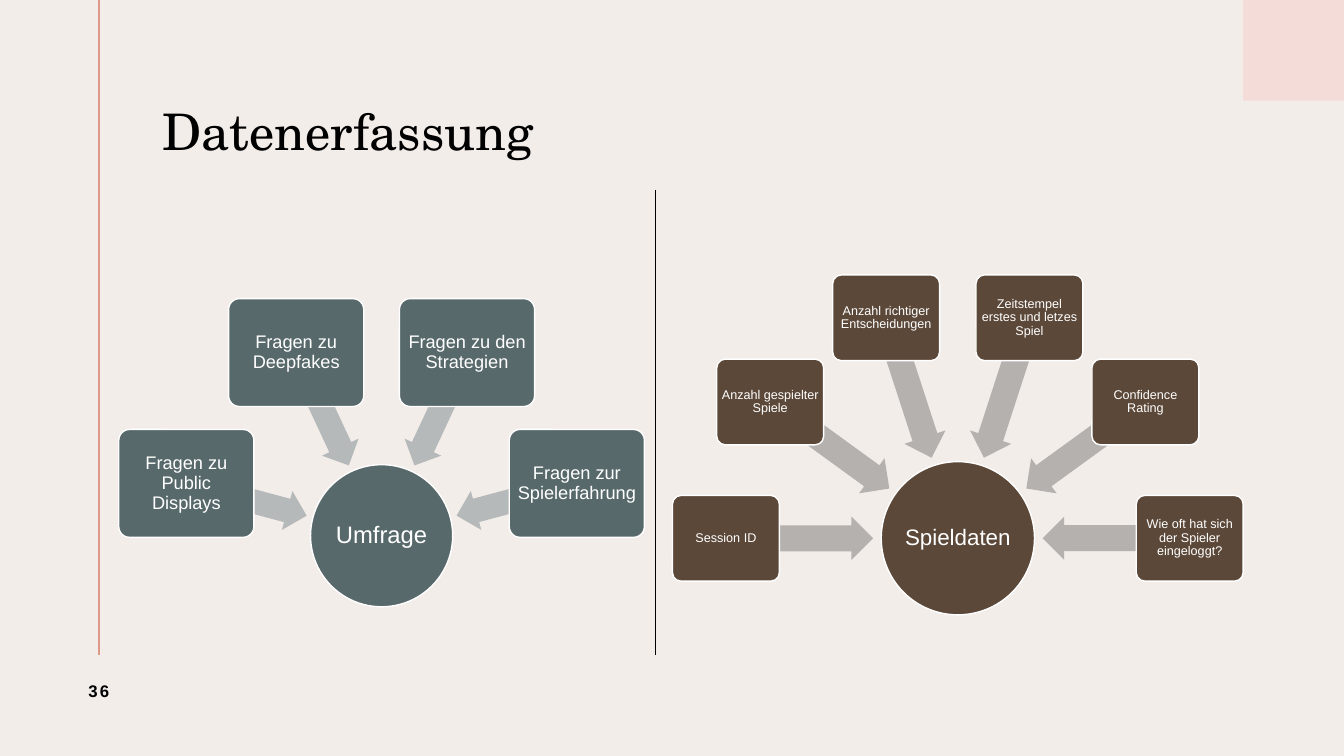
from math import cos, radians, sin

from lxml import etree
from pptx import Presentation
from pptx.dml.color import RGBColor
from pptx.enum.shapes import MSO_CONNECTOR, MSO_SHAPE
from pptx.enum.text import MSO_ANCHOR, PP_ALIGN
from pptx.oxml.ns import qn
from pptx.util import Inches, Pt

RECTANGLE = MSO_SHAPE.RECTANGLE
OVAL = MSO_SHAPE.OVAL
ROUNDED = MSO_SHAPE.ROUNDED_RECTANGLE
LEFT_ARROW = MSO_SHAPE.LEFT_ARROW
STRAIGHT = MSO_CONNECTOR.STRAIGHT
MIDDLE = MSO_ANCHOR.MIDDLE
LEFT = PP_ALIGN.LEFT
CENTER = PP_ALIGN.CENTER

CELL = Inches(0.5)
COLUMNS, ROWS = 26.66, 15
SANS = "Arial"
SERIF = "TeX Gyre Schola"
COLORS = {
    "background": "F3EDEA",
    "corner": "F4DDD8",
    "rail": "DF998B",
    "black": "000000",
    "white": "FFFFFF",
    "slate": "58696B",
    "slate_arrow": "B5B9BA",
    "brown": "5B4839",
    "brown_arrow": "B5B1AF",
}

SURVEY = {
    "hub": "Umfrage", "hub_size": 2.82, "hub_font": 17,
    "center": (7.57, 10.63), "start": 195, "step": 50,
    "arrow": (2.46, 0.8), "arrow_radius": 2.77,
    "box": (2.68, 2.14), "box_radius": 4.01, "box_font": 13, "inset": 0.06,
    "fill": "slate", "arrow_fill": "slate_arrow",
    "labels": ["Fragen zu Public Displays", "Fragen zu Deepfakes",
               "Fragen zu den Strategien", "Fragen zur Spielerfahrung"],
}
GAME_DATA = {
    "hub": "Spieldaten", "hub_size": 3.04, "hub_font": 16,
    "center": (19, 10.68), "start": 180, "step": 36,
    "arrow": (2.92, 0.86), "arrow_radius": 3.14,
    "box": (2.12, 1.7), "box_radius": 4.6, "box_font": 9, "inset": 0.04,
    "fill": "brown", "arrow_fill": "brown_arrow",
    "labels": ["Session ID", "Anzahl gespielter Spiele",
               "Anzahl richtiger Entscheidungen",
               "Zeitstempel erstes und letzes Spiel", "Confidence Rating",
               "Wie oft hat sich der Spieler eingeloggt?"],
}


def grid(*cells):
    return [round(cell * CELL) for cell in cells]


def color(name):
    return RGBColor.from_string(COLORS[name])


def write(box, text, size, ink, font=SANS, align=CENTER, insets=(0.2, 0.1, 0.2, 0.1),
          spacing=0.9):
    frame = box.text_frame
    frame.word_wrap = True
    frame.vertical_anchor = MIDDLE
    (frame.margin_left, frame.margin_top,
     frame.margin_right, frame.margin_bottom) = grid(*insets)
    para = frame.paragraphs[0]
    para.alignment = align
    para.line_spacing = spacing
    span = para.add_run()
    span.text = text
    span.font.name = font
    span.font.size = Pt(size)
    span.font.color.rgb = color(ink)
    return span


def add_block(shapes, kind, center, size, fill, outlined=False):
    (x, y), (width, height) = center, size
    block = shapes.add_shape(kind, *grid(x - width / 2, y - height / 2, width, height))
    block.shadow.inherit = False
    block.fill.solid()
    block.fill.fore_color.rgb = color(fill)
    if outlined:
        block.line.color.rgb = color("white")
        block.line.width = Pt(1)
    else:
        block.line.fill.background()
    return block


def add_rule(page, column, top, bottom, ink, width):
    rule = page.shapes.add_connector(STRAIGHT, *grid(column, top, column, bottom))
    rule.line.color.rgb = color(ink)
    rule.line.width = Pt(width)
    etree.SubElement(rule.element.spPr, qn("a:effectLst"))


def add_label(page, area, text, size, **style):
    box = page.shapes.add_textbox(*grid(*area))
    return write(box, text, size, "black", **style)


def polar(center, radius, angle):
    x, y = center
    return x + radius * cos(radians(angle)), y + radius * sin(radians(angle))


def add_radial(page, data):
    shapes = page.shapes.add_group_shape().shapes
    center, fill = data["center"], data["fill"]
    hub = add_block(shapes, OVAL, center, (data["hub_size"],) * 2, fill, True)
    write(hub, data["hub"], data["hub_font"], "white", insets=(0.02,) * 4)
    for index, label in enumerate(data["labels"]):
        angle = data["start"] + index * data["step"]
        arrow = add_block(shapes, LEFT_ARROW, polar(center, data["arrow_radius"], angle),
                          data["arrow"], data["arrow_fill"])
        arrow.adjustments[0] = 0.6
        arrow.adjustments[1] = 0.5
        arrow.rotation = angle % 360
        box = add_block(shapes, ROUNDED, polar(center, data["box_radius"], angle),
                        data["box"], fill, True)
        box.adjustments[0] = 0.1
        write(box, label, data["box_font"], "white", insets=(data["inset"],) * 4)


def main():
    deck = Presentation()
    deck.slide_width, deck.slide_height = grid(COLUMNS, ROWS)
    page = deck.slides.add_slide(deck.slide_layouts[6])
    page.background.fill.solid()
    page.background.fill.fore_color.rgb = color("background")

    add_block(page.shapes, RECTANGLE, (COLUMNS - 1, 1), (2, 2), "corner")
    add_rule(page, 1.96, 0, 13, "rail", 1.5)
    add_label(page, (3.22, 1.1, 21.46, 3.12), "Datenerfassung", 36,
              font=SERIF, align=LEFT, insets=(0, 0.1, 0.2, 0.1))
    number = add_label(page, (0.9, 13, 2.12, 1.42), "36", 12, spacing=1)
    number.font.bold = True
    number.font._element.set("spc", "150")

    add_radial(page, SURVEY)
    add_radial(page, GAME_DATA)
    add_rule(page, 13, 3.78, 13, "black", 0.5)
    deck.save("out.pptx")


if __name__ == "__main__":
    main()
